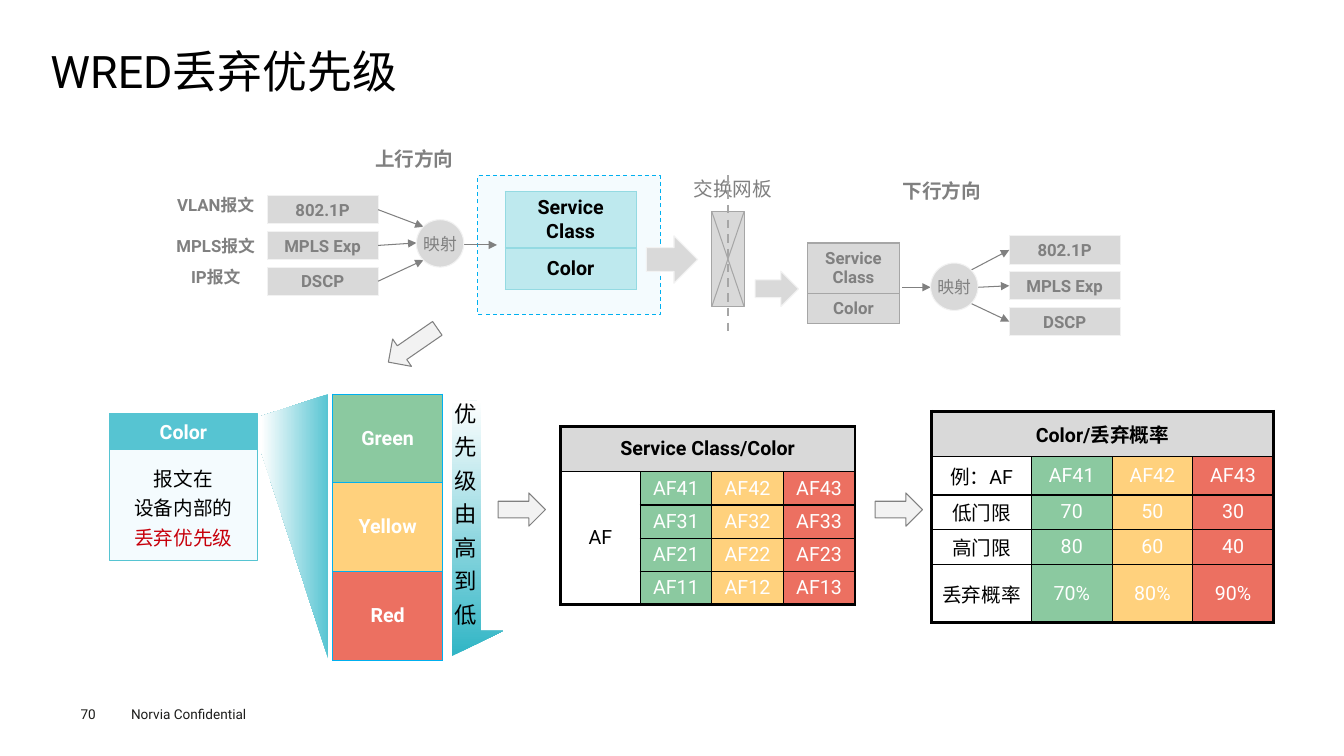
from lxml import etree
from pptx import Presentation
from pptx.dml.color import RGBColor
from pptx.enum.dml import MSO_LINE
from pptx.enum.shapes import MSO_CONNECTOR, MSO_SHAPE
from pptx.enum.text import MSO_ANCHOR, MSO_AUTO_SIZE, PP_ALIGN
from pptx.oxml.ns import qn
from pptx.util import Inches, Pt

RECT, OVAL = MSO_SHAPE.RECTANGLE, MSO_SHAPE.OVAL
DOWN, RIGHT = MSO_SHAPE.DOWN_ARROW, MSO_SHAPE.RIGHT_ARROW
STRAIGHT = MSO_CONNECTOR.STRAIGHT
DASH = MSO_LINE.DASH
LEFT, CENTER = PP_ALIGN.LEFT, PP_ALIGN.CENTER
TOP, MIDDLE = MSO_ANCHOR.TOP, MSO_ANCHOR.MIDDLE
NO_FIT = MSO_AUTO_SIZE.NONE

FONT = "Roboto"
BLACK, WHITE, GREY = "000000", "FFFFFF", "808080"
SILVER, PALE, MID = "D9D9D9", "F2F2F2", "A6A6A6"
TEAL, ICE, SKY = "56C4D2", "F4FBFE", "00B0F0"
GREEN, YELLOW, RED = "8BC9A0", "FFD17D", "EC7061"
DROP_COLORS = [GREEN, YELLOW, RED]
FIELDS = ["802.1P", "MPLS Exp", "DSCP"]


def rgb(value):
    return RGBColor.from_string(value)


def write(frame, text, size=14, color=BLACK, bold=False, align=CENTER,
          anchor=MIDDLE, spacing=None, wrap=True, inset=0, last_color=None):
    frame.word_wrap = wrap
    frame.auto_size = NO_FIT
    frame.vertical_anchor = anchor
    frame.margin_left = frame.margin_right = Inches(inset)
    frame.margin_top = frame.margin_bottom = Inches(inset / 2)
    frame.text = text
    for paragraph in frame.paragraphs:
        paragraph.alignment = align
        if spacing:
            paragraph.line_spacing = spacing
        font = paragraph.font
        font.name, font.size, font.bold = FONT, Pt(size), bold
        font.color.rgb = rgb(color)
    if last_color:
        frame.paragraphs[-1].font.color.rgb = rgb(last_color)


def label(slide, left, top, width, height, text, **style):
    box = slide.shapes.add_textbox(*map(Inches, (left, top, width, height)))
    write(box.text_frame, text, **style)


def block(slide, kind, left, top, width, height, fill, line,
          text=None, dash=None, rotation=0, **style):
    shape = slide.shapes.add_shape(kind, *map(Inches, (left, top, width, height)))
    shape.shadow.inherit = False
    shape.fill.solid()
    shape.fill.fore_color.rgb = rgb(fill)
    shape.line.color.rgb = rgb(line)
    shape.line.width = Pt(0.75)
    shape.line.dash_style = dash
    shape.rotation = rotation
    if text:
        write(shape.text_frame, text, **style)
    return shape


def connect(slide, start, end, color=GREY, width=0.75, dash=None, arrow=True):
    link = slide.shapes.add_connector(STRAIGHT, *map(Inches, start + end))
    link.line.color.rgb = rgb(color)
    link.line.width = Pt(width)
    link.line.dash_style = dash
    if arrow:
        etree.SubElement(link.line._get_or_add_ln(), qn("a:tailEnd"), type="triangle")
    etree.SubElement(link._element.spPr, qn("a:effectLst"))
    return link


def border(cell, widths, color):
    properties = cell._tc.get_or_add_tcPr()
    for side, width in zip(("lnL", "lnR", "lnT", "lnB"), widths):
        edge = etree.SubElement(properties, qn("a:" + side), w=str(Pt(width)))
        solid = etree.SubElement(edge, qn("a:solidFill"))
        etree.SubElement(solid, qn("a:srgbClr"), val=color)


def grid(slide, left, top, cols, rows, cells, line, outer=1, merges=(), inset=0.1, size=14):
    area = map(Inches, (left, top, sum(cols), sum(rows)))
    table = slide.shapes.add_table(len(rows), len(cols), *area).table
    for column, width in zip(table.columns, cols):
        column.width = Inches(width)
    for row, height in zip(table.rows, rows):
        row.height = Inches(height)
    for first, last in merges:
        table.cell(*first).merge(table.cell(*last))
    for r, entries in enumerate(cells):
        for c, (text, fill, color, bold) in enumerate(entries):
            cell = table.cell(r, c)
            across, down = (cell.span_width, cell.span_height) if cell.is_merge_origin else (1, 1)
            edges = (c == 0, c + across == len(cols), r == 0, r + down == len(rows))
            border(cell, [outer if edge else 1 for edge in edges], line)
            cell.fill.solid()
            cell.fill.fore_color.rgb = rgb(fill)
            cell.vertical_anchor = MIDDLE
            cell.margin_left = cell.margin_right = Inches(inset)
            cell.margin_top = cell.margin_bottom = Inches(0.03)
            if not cell.is_spanned:
                write_cell = cell.text_frame
                write_cell.text = text
                paragraph = write_cell.paragraphs[0]
                paragraph.alignment = CENTER
                font = paragraph.font
                font.name, font.size, font.bold = FONT, Pt(size), bold
                font.color.rgb = rgb(color)


def color_grid(slide, left, top, cols, rows, heading, body, merges=()):
    cells = [[(heading if c == 0 else "", SILVER, BLACK, True) for c in range(4)]]
    for first, *values in body:
        cells.append([(first, WHITE, BLACK, False)]
                     + [(value, fill, WHITE, False) for value, fill in zip(values, DROP_COLORS)])
    grid(slide, left, top, cols, rows, cells, BLACK, outer=2.25,
         merges=[((0, 0), (0, 3)), *merges], inset=0.05)


def service_class(slide, left, top, width, rows, fill, color, line, size):
    cells = [[(text, fill, color, True)] for text in ("Service Class", "Color")]
    grid(slide, left, top, [width], rows, cells, line, size=size)


def field_stack(slide, left, top):
    return [block(slide, RECT, left, top + 0.355 * i, 1.1, 0.28, SILVER, PALE,
                  field, size=12, color=GREY, bold=True) for i, field in enumerate(FIELDS)]


def mapping(slide, left, top):
    block(slide, OVAL, left, top, 0.47, 0.47, SILVER, PALE, "映射", size=12, color=GREY, wrap=False)


def upstream(slide, left, top):
    label(slide, left + 2.07, top, 0.98, 0.33, "上行方向", color=GREY, bold=True)
    block(slide, RECT, left + 3.19, top + 0.33, 1.81, 1.38, ICE, SKY, dash=DASH)
    for packet, drop in (("VLAN报文", 0.45), ("MPLS报文", 0.85), ("IP报文", 1.16)):
        label(slide, left, top + drop, 1.18, 0.35, packet, size=12, color=GREY, bold=True)
    ends = [(2.65, 0.84), (2.58, 1), (2.65, 1.17)]
    for field, (x, y) in zip(field_stack(slide, left + 1.1, top + 0.53), ends):
        link = connect(slide, (left + 2.2, top + y), (left + x, top + y))
        link.begin_connect(field, 3)
    connect(slide, (left + 3.03, top + 1.02), (left + 3.38, top + 1.02))
    mapping(slide, left + 2.58, top + 0.77)
    service_class(slide, left + 3.46, top + 0.49, 1.3, [0.56, 0.41], "BEE9EE", BLACK, "94DAE2", 14)
    block(slide, RIGHT, left + 4.86, top + 0.93, 0.51, 0.47, SILVER, PALE)


def switch_fabric(slide, left, top):
    x, right, y, bottom = left + 0.28, left + 0.6, top + 0.39, top + 1.33
    block(slide, RECT, x, y, 0.32, 0.94, SILVER, MID)
    connect(slide, (x, y), (right, bottom), MID, arrow=False)
    connect(slide, (right, y), (x, bottom), MID, arrow=False)
    label(slide, left, top, 0.98, 0.33, "交换网板", color=GREY)
    connect(slide, (left + 0.44, top + 0.03), (left + 0.44, top + 1.61), MID, 1.5, DASH, False)


def downstream(slide, left, top):
    label(slide, left + 1.36, top, 0.98, 0.33, "下行方向", color=GREY, bold=True)
    block(slide, RIGHT, left, top + 0.96, 0.43, 0.35, SILVER, PALE)
    service_class(slide, left + 0.52, top + 0.68, 0.91, [0.5, 0.3], SILVER, GREY, MID, 12)
    connect(slide, (left + 1.46, top + 1.12), (left + 1.74, top + 1.12))
    starts = [(2.14, 0.95), (2.21, 1.12), (2.14, 1.28)]
    for field, (x, y) in zip(field_stack(slide, left + 2.52, top + 0.61), starts):
        link = connect(slide, (left + x, top + y), (left + 2.52, top + y))
        link.end_connect(field, 1)
    mapping(slide, left + 1.74, top + 0.88)


def gradient_outline(slide, left, top, points, color, angle):
    corners = [(Inches(left + x), Inches(top + y)) for x, y in points]
    builder = slide.shapes.build_freeform(*corners[0])
    builder.add_line_segments(corners[1:], close=True)
    shape = builder.convert_to_shape()
    shape.shadow.inherit = False
    shape.line.fill.background()
    shape.fill.gradient()
    shape.fill.gradient_angle = angle
    for stop, shade in zip(shape.fill.gradient_stops, (color, WHITE)):
        stop.color.rgb = rgb(shade)


def color_priority(slide, left, top):
    block(slide, RECT, left, top + 0.55, 1.46, 1.1, ICE, TEAL, "报文在\n设备内部的\n丢弃优先级",
          spacing=1.25, last_color="C7000B")
    block(slide, RECT, left, top + 0.19, 1.46, 0.36, TEAL, TEAL, "Color", color=WHITE, bold=True)
    gradient_outline(slide, left + 1.5, top,
                     [(0, 0.22), (0.67, 0), (0.67, 2.64), (0, 0.57)], TEAL, 180)
    names = zip(("Green", "Yellow", "Red"), DROP_COLORS)
    grid(slide, left + 2.21, top, [1.09], [0.88] * 3,
         [[(name, fill, WHITE, True)] for name, fill in names], SKY)
    gradient_outline(slide, left + 3.39, top + 0.06,
                     [(0, 0), (0, 2.54), (0.51, 2.29), (0.29, 2.29), (0.29, 0.01)], "30B5C5", 90)
    label(slide, left + 3.25, top - 0.06, 0.56, 2.47, "优先级由高到低",
          size=16, anchor=TOP, spacing=1.25, inset=0.1)


def class_table(slide, left, top):
    body = [("AF" if n == 4 else "", *(f"AF{n}{drop}" for drop in (1, 2, 3))) for n in (4, 3, 2, 1)]
    color_grid(slide, left, top, [0.79] + [0.71] * 3, [0.45] + [0.33] * 4,
               "Service Class/Color", body, [((1, 0), (4, 0))])


def drop_table(slide, left, top):
    body = [("例：AF", "AF41", "AF42", "AF43"), ("低门限", "70", "50", "30"),
            ("高门限", "80", "60", "40"), ("丢弃概率", "70%", "80%", "90%")]
    color_grid(slide, left, top, [0.99] + [0.8] * 3, [0.45, 0.38, 0.33, 0.35, 0.57],
               "Color/丢弃概率", body)


def heading_and_footer(slide):
    title = slide.shapes.title
    title.left, title.top, title.width, title.height = map(Inches, (0.5, 0.49, 12.31, 0.53))
    write(title.text_frame, "WRED丢弃优先级", size=32, align=LEFT, anchor=TOP, spacing=0.9)
    for left, width, text in ((0.8, 0.4, "70"), (1.3, 1.6, "Norvia Confidential")):
        label(slide, left, 6.95, width, 0.27, text, size=9.7, color="1D1D1B", align=LEFT)


def main():
    deck = Presentation()
    deck.slide_width, deck.slide_height = Inches(13.33), Inches(7.5)
    slide = deck.slides.add_slide(deck.slide_layouts[5])
    heading_and_footer(slide)
    upstream(slide, 1.55, 1.41)
    switch_fabric(slide, 6.78, 1.71)
    downstream(slide, 7.49, 1.73)
    color_priority(slide, 1.09, 3.91)
    class_table(slide, 5.56, 4.23)
    drop_table(slide, 9.24, 4.08)
    for left, top, height, angle in ((3.93, 3.13, 0.59, 55.4), (5.01, 4.82, 0.47, 270),
                                     (8.75, 4.82, 0.47, 270)):
        block(slide, DOWN, left, top, 0.33, height, PALE, GREY, rotation=angle)
    deck.save("out.pptx")


if __name__ == "__main__":
    main()
